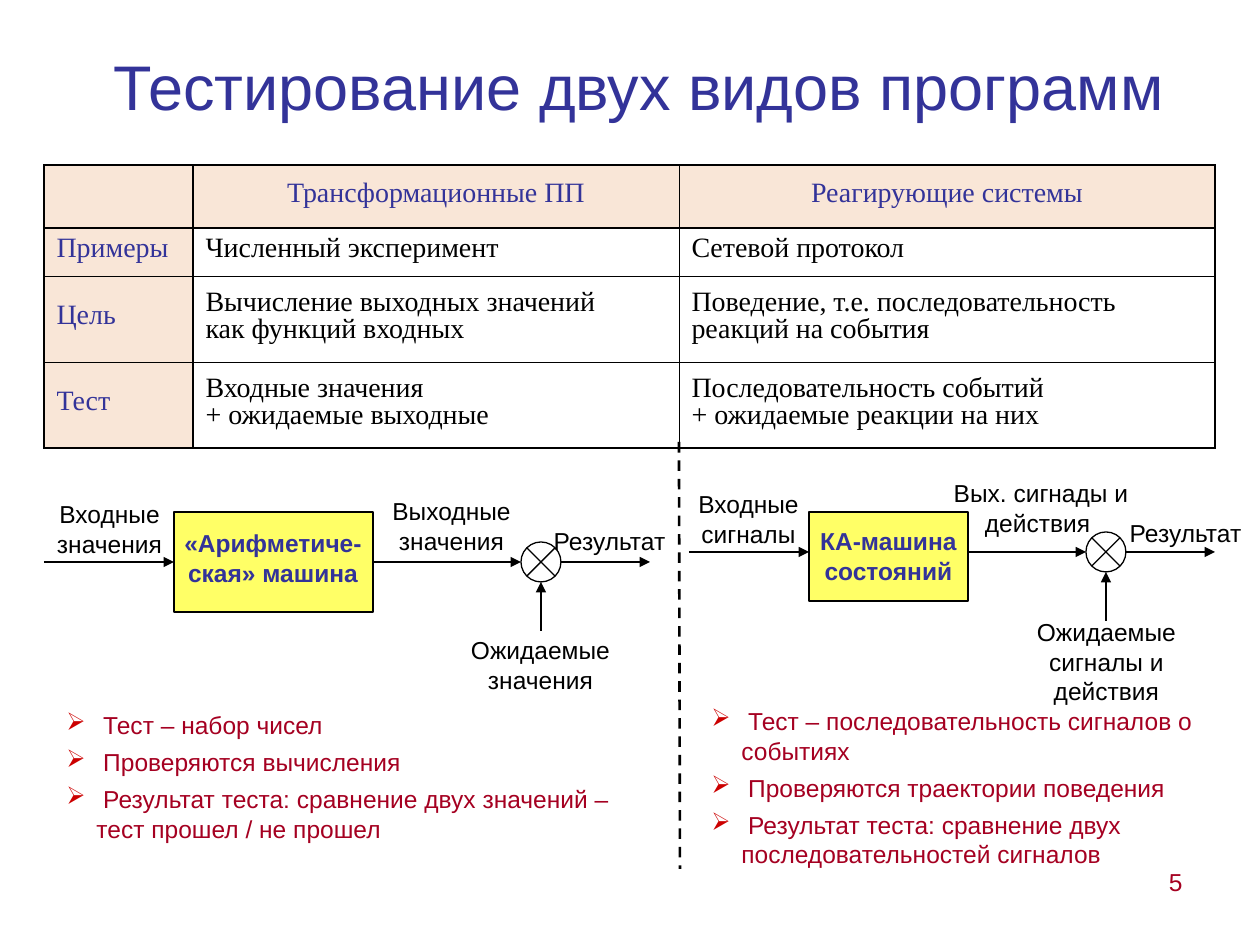
from dataclasses import dataclass

from lxml.etree import SubElement
from pptx import Presentation
from pptx.dml.color import RGBColor
from pptx.enum.dml import MSO_LINE as Dash
from pptx.enum.shapes import MSO_CONNECTOR as Link, MSO_SHAPE as Preset
from pptx.enum.text import MSO_ANCHOR as Anchor, PP_ALIGN as Align
from pptx.oxml.ns import qn
from pptx.util import Pt

PX = 914400 / 126
TOP, LEFT, BOTTOM, RIGHT = range(4)


@dataclass(frozen=True)
class Theme:
    sans: str = "Arial"
    serif: str = "Times New Roman"
    ink: str = "000000"
    blue: str = "333399"
    wine: str = "A50021"
    bullet: str = "CC0000"
    header: str = "F9E6D7"
    machine: str = "FFFF66"
    title_size: float = 36
    table_size: float = 16
    body_size: float = 14
    thin: float = 0.45
    line: float = 0.75
    thick: float = 1.08
    divider: float = 1.5


THEME = Theme()

ROWS = [
    ["", "Трансформационные ПП", "Реагирующие системы"],
    ["Примеры", "Численный эксперимент", "Сетевой протокол"],
    ["Цель", "Вычисление выходных значений\nкак функций входных",
     "Поведение, т.е. последовательность\nреакций на события"],
    ["Тест", "Входные значения\n+ ожидаемые выходные",
     "Последовательность событий\n+ ожидаемые реакции на них"],
]

DIAGRAMS = [
    dict(start=44, axis=562, machine=(174, 512, 199, 100), junction=521,
         name=("«Арифметиче-ская» машина", (164, 522, 218, 72)),
         labels=[("Входные значения", (30, 493, 159, 72)),
                 ("Выходные значения", (372, 490, 159, 72)),
                 ("Ожидаемые значения", (451, 629, 179, 72)),
                 ("Результат", (530, 520, 159, 43))]),
    dict(start=689, axis=552, machine=(809, 512, 159, 89), junction=1086,
         name=("КА-машина состояний", (799, 520, 179, 72)),
         labels=[("Входные сигналы", (669, 483, 159, 72)),
                 ("Вых. сигнады и действия ", (937, 472, 208, 72)),
                 ("Ожидаемые сигналы и действия", (1017, 611, 179, 101)),
                 ("Результат", (1106, 512, 159, 43))]),
]

CONCLUSIONS = [
    ((54, 704, 596, 146),
     [" Тест – набор чисел", " Проверяются вычисления",
      " Результат теста: сравнение двух значений – тест прошел / не прошел"]),
    ((699, 700, 507, 175),
     [" Тест – последовательность сигналов о событиях",
      " Проверяются траектории поведения",
      " Результат теста: сравнение двух последовательностей сигналов"]),
]


def px(*lengths):
    return [round(length * PX) for length in lengths]


def rgb(color):
    return RGBColor.from_string(color)


def apply(target, values):
    for name, value in values.items():
        setattr(target, name, value)


def write(frame, lines, color, font, layout):
    for index, line in enumerate(lines):
        para = frame.paragraphs[0] if index == 0 else frame.add_paragraph()
        apply(para, layout)
        span = para.add_run()
        span.text = line
        apply(span.font, font)
        span.font.color.rgb = rgb(color)


def add_text(page, area, lines, color=THEME.ink, size=THEME.body_size,
             bold=False, anchor=Anchor.TOP, **layout):
    frame = page.shapes.add_textbox(*px(*area)).text_frame
    apply(frame, dict(word_wrap=True, vertical_anchor=anchor))
    write(frame, lines, color, dict(name=THEME.sans, size=Pt(size), bold=bold), layout)
    return frame


def add_bullets(page, area, lines):
    frame = add_text(page, area, lines, THEME.wine, space_before=Pt(4.4))
    margin = px(30)[0]
    for para in frame.paragraphs:
        props = para._p.get_or_add_pPr()
        props.set("marL", str(margin))
        props.set("indent", str(-margin))
        tint = SubElement(props, qn("a:buClr"))
        SubElement(tint, qn("a:srgbClr"), val=THEME.bullet)
        SubElement(props, qn("a:buChar"), char="➢")


def add_preset(page, preset, area, fill=None):
    shape = page.shapes.add_shape(preset, *px(*area))
    shape.shadow.inherit = False
    if fill:
        shape.fill.solid()
        shape.fill.fore_color.rgb = rgb(fill)
    else:
        shape.fill.background()
    shape.line.color.rgb = rgb(THEME.ink)
    shape.line.width = Pt(THEME.line)
    return shape


def add_line(page, start, end, width=THEME.line, dash=None, arrow=True):
    line = page.shapes.add_connector(Link.STRAIGHT, *px(*start, *end))
    line.line.color.rgb = rgb(THEME.ink)
    apply(line.line, dict(width=Pt(width), dash_style=dash))
    if arrow:
        SubElement(line.line._get_or_add_ln(), qn("a:tailEnd"), type="triangle")
    SubElement(line._element.spPr, qn("a:effectLst"))
    return line


def set_borders(cell, widths):
    props = cell._tc.get_or_add_tcPr()
    for side, width in widths.items():
        edge = SubElement(props, qn(f"a:ln{side}"), w=str(Pt(width)))
        fill = SubElement(edge, qn("a:solidFill"))
        SubElement(fill, qn("a:srgbClr"), val=THEME.ink)


def border_width(boundary, count):
    return THEME.thin if 2 <= boundary < count else THEME.thick


def add_comparison(page, left, top, widths, heights):
    area = px(left, top, sum(widths), sum(heights))
    table = page.shapes.add_table(len(heights), len(widths), *area).table
    apply(table, dict(first_row=False, horz_banding=False))
    for column, width in zip(table.columns, px(*widths)):
        column.width = width
    for row, height in zip(table.rows, px(*heights)):
        row.height = height
    font = dict(name=THEME.serif, size=Pt(THEME.table_size))
    for r, texts in enumerate(ROWS):
        layout = dict(line_spacing=0.63, space_before=Pt(4),
                      alignment=Align.LEFT if r else Align.CENTER)
        for c, text in enumerate(texts):
            cell = table.cell(r, c)
            heading = r == 0 or c == 0
            cell.vertical_anchor = Anchor.MIDDLE
            set_borders(cell, dict(
                L=border_width(c, len(widths)), R=border_width(c + 1, len(widths)),
                T=border_width(r, len(heights)), B=border_width(r + 1, len(heights))))
            if heading:
                cell.fill.solid()
                cell.fill.fore_color.rgb = rgb(THEME.header)
            else:
                cell.fill.background()
            if text:
                color = THEME.blue if heading else THEME.ink
                write(cell.text_frame, text.split("\n"), color, font, layout)


def add_diagram(page, start, axis, machine, junction, name, labels):
    left, top, width, height = machine
    size, center, end = 40, junction + 20, junction + 40
    box = add_preset(page, Preset.RECTANGLE, machine, THEME.machine)
    add_preset(page, Preset.FLOWCHART_SUMMING_JUNCTION,
               (junction, axis - size // 2, size, size))
    entry = add_line(page, (start, axis), (left, axis))
    output = add_line(page, (left + width, axis), (junction, axis))
    if top + height / 2 == axis:
        entry.end_connect(box, LEFT)
        output.begin_connect(box, RIGHT)
    add_line(page, (end, axis), (end + 89, axis))
    add_line(page, (center, axis + 69), (center, axis + 20))
    text, area = name
    add_text(page, area, [text], THEME.blue, bold=True, alignment=Align.CENTER)
    for text, area in labels:
        add_text(page, area, [text], alignment=Align.CENTER)


def main():
    deck = Presentation()
    deck.slide_width, deck.slide_height = px(1260, 945)
    page = deck.slides.add_slide(deck.slide_layouts[6])
    add_text(page, (63, 6, 1134, 158), [" Тестирование двух видов программ"],
             THEME.blue, THEME.title_size, anchor=Anchor.MIDDLE, alignment=Align.CENTER)
    add_comparison(page, 44, 165, [149, 486, 536], [63, 48, 86, 86])
    add_line(page, (679, 442), (680, 869), THEME.divider, Dash.DASH, arrow=False)
    for diagram in DIAGRAMS:
        add_diagram(page, **diagram)
    for area, lines in CONCLUSIONS:
        add_bullets(page, area, lines)
    add_text(page, (903, 861, 292, 64), ["5"], THEME.wine, alignment=Align.RIGHT)
    deck.save("out.pptx")


if __name__ == "__main__":
    main()
